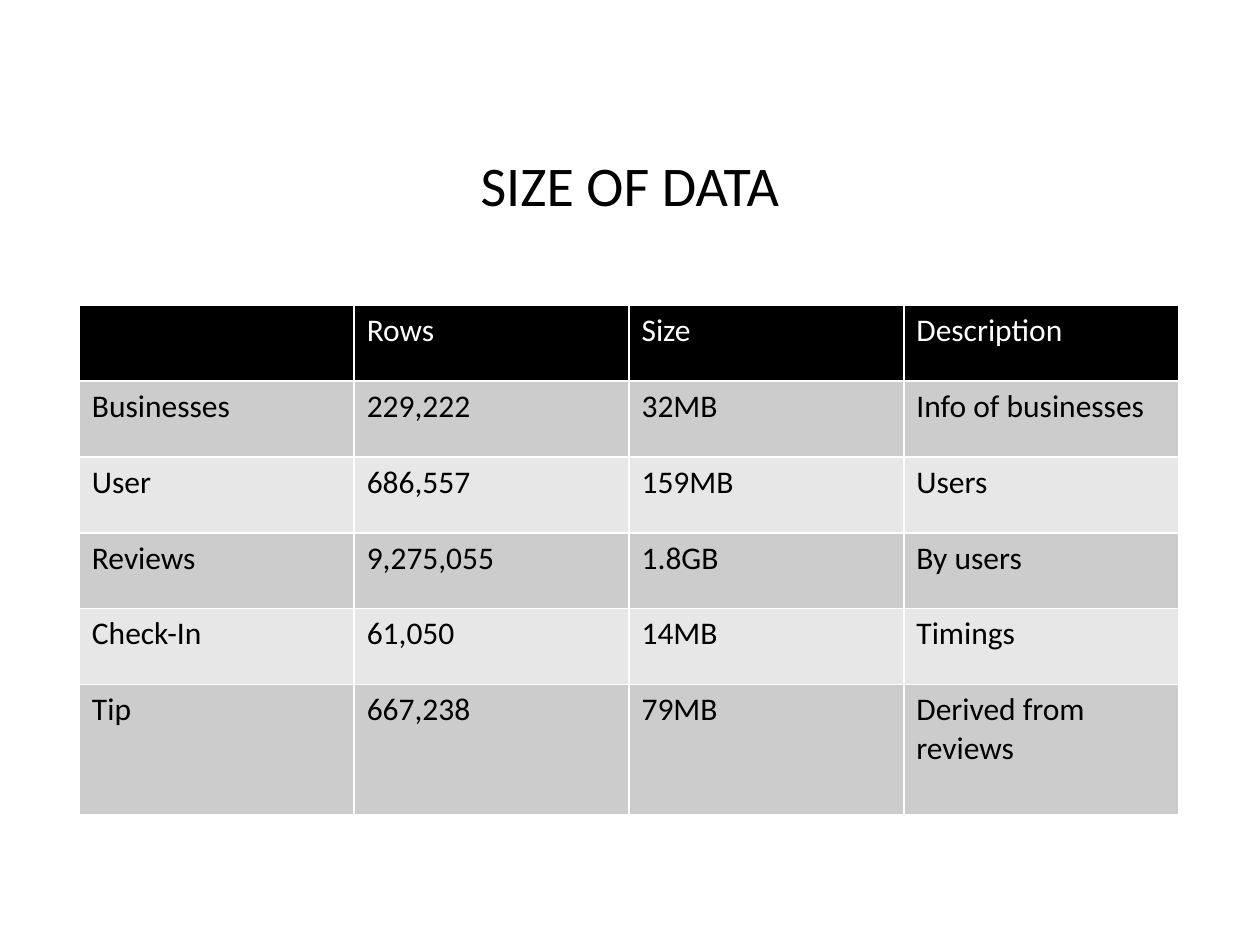
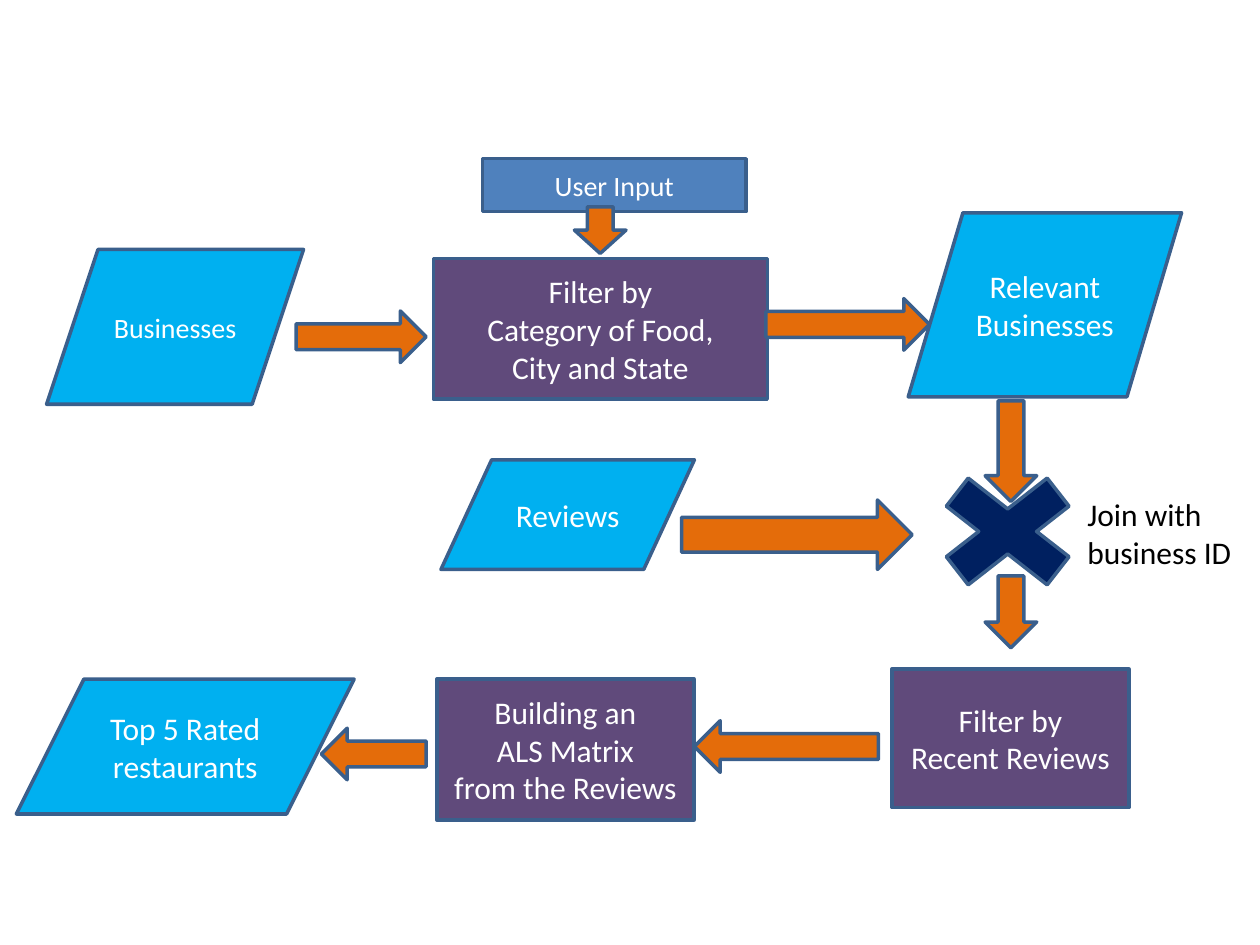
from pptx import Presentation
from pptx import util as u
from pptx.dml.color import RGBColor
from pptx.enum import shapes, text

FONT = "Calibri"
BLACK, WHITE, OUTLINE = "000000", "FFFFFF", "3A5F8C"
DATA, STEP, INPUT, JOIN, FLOW = "00B0F0", "604A7B", "4F81BD", "002060", "E46C0A"
BANDS = ("CCCCCC", "E7E7E7")
KIND = shapes.MSO_SHAPE

# Slide 1: lengths in cm
TITLE = "SIZE OF DATA"
TITLE_BOX = (0, 2.16, 25.4, 3.1)
SIZES = [
    ("", "Rows", "Size", "Description"),
    ("Businesses", "229,222", "32MB", "Info of businesses"),
    ("User", "686,557", "159MB", "Users"),
    ("Reviews", "9,275,055", "1.8GB", "By users"),
    ("Check-In", "61,050", "14MB", "Timings"),
    ("Tip", "667,238", "79MB", "Derived from reviews"),
]
TABLE_LEFT, TABLE_TOP, COLUMN = 1.6, 6.15, 5.54
ROW, LAST_ROW = 1.53, 2.63

# Slide 2: kind, fill, (left, top, width, height), lines, text size
STAGES = [
    (KIND.FLOWCHART_DATA, DATA, (0.94, 5.03, 5.18, 3.12), ["Businesses"], 16),
    (KIND.RECTANGLE, STEP, (8.74, 5.21, 6.73, 2.84),
     ["Filter by", "Category of Food,", "City and State"], 18),
    (KIND.RECTANGLE, INPUT, (9.73, 3.2, 5.31, 1.07), ["User Input"], 16),
    (KIND.FLOWCHART_DATA, DATA, (18.31, 4.29, 5.51, 3.71), ["Relevant", "Businesses"], 18),
    (KIND.FLOWCHART_DATA, DATA, (8.89, 9.27, 5.11, 2.21), ["Reviews"], 18),
    (KIND.FLOWCHART_PROCESS, STEP, (17.98, 13.49, 4.78, 2.79),
     ["Filter by", "Recent Reviews"], 18),
    (KIND.FLOWCHART_PROCESS, STEP, (8.81, 13.69, 5.18, 2.84),
     ["Building an", "ALS Matrix", "from the Reviews"], 18),
    (KIND.FLOWCHART_DATA, DATA, (0.33, 13.69, 6.81, 2.72), ["Top 5 Rated restaurants"], 18),
]
# Arrows: kind, left, top, length, thickness
THIN, THICK = 1.04, 1.4
ARROWS = [
    (KIND.RIGHT_ARROW, 5.97, 6.27, 2.62, THIN),
    (KIND.DOWN_ARROW, 11.58, 4.17, 0.94, THIN),
    (KIND.RIGHT_ARROW, 15.44, 6.02, 3.3, THIN),
    (KIND.DOWN_ARROW, 19.86, 8.08, 2.03, THIN),
    (KIND.DOWN_ARROW, 19.86, 11.61, 1.45, THIN),
    (KIND.RIGHT_ARROW, 13.74, 10.08, 4.65, THICK),
    (KIND.LEFT_ARROW, 14, 14.53, 3.71, THIN),
    (KIND.LEFT_ARROW, 6.48, 14.68, 2.11, THIN),
]
JOIN_BOX = (18.36, 9.19, 3.91, 3.05)
JOIN_LABEL, JOIN_LABEL_BOX = "Join with business ID", (21.67, 9.86, 4.42, 1.8)


def rgb(value):
    return RGBColor.from_string(value)


def cm(box):
    return [u.Cm(length) for length in box]


def write(frame, lines, size, color, align=text.PP_ALIGN.LEFT):
    frame.word_wrap = True
    for index, line in enumerate(lines):
        paragraph = frame.add_paragraph() if index else frame.paragraphs[0]
        paragraph.text = line
        paragraph.alignment = align
        font = paragraph.font
        font.name, font.size, font.bold = FONT, u.Pt(size), False
        font.color.rgb = rgb(color)


def add_block(slide, kind, fill, box, lines=(), size=18):
    block = slide.shapes.add_shape(kind, *cm(box))
    block.shadow.inherit = False
    block.fill.solid()
    block.fill.fore_color.rgb = rgb(fill)
    block.line.color.rgb = rgb(OUTLINE)
    block.line.width = u.Pt(2)
    frame = block.text_frame
    frame.vertical_anchor = text.MSO_ANCHOR.MIDDLE
    frame.margin_left = frame.margin_right = u.Cm(0.15)
    write(frame, lines, size, WHITE, text.PP_ALIGN.CENTER)


def add_label(slide, box, label, size, **style):
    frame = slide.shapes.add_textbox(*cm(box)).text_frame
    write(frame, [label], size, BLACK, **style)
    return frame


def build_sizes(slide):
    title = add_label(slide, TITLE_BOX, TITLE, 32, align=text.PP_ALIGN.CENTER)
    title.vertical_anchor = text.MSO_ANCHOR.MIDDLE

    # Table: black header, then alternating grey bands
    heights = [ROW] * (len(SIZES) - 1) + [LAST_ROW]
    columns = len(SIZES[0])
    box = (TABLE_LEFT, TABLE_TOP, COLUMN * columns, sum(heights))
    table = slide.shapes.add_table(len(SIZES), columns, *cm(box)).table
    for r, (values, height) in enumerate(zip(SIZES, heights)):
        table.rows[r].height = u.Cm(height)
        fill, color = (BANDS[(r - 1) % 2], BLACK) if r else (BLACK, WHITE)
        for c, value in enumerate(values):
            cell = table.cell(r, c)
            cell.fill.solid()
            cell.fill.fore_color.rgb = rgb(fill)
            write(cell.text_frame, [value], 18, color)


def build_flow(slide):
    for stage in STAGES:
        add_block(slide, *stage)
    for kind, left, top, length, thickness in ARROWS:
        down = kind == KIND.DOWN_ARROW
        extent = (thickness, length) if down else (length, thickness)
        add_block(slide, kind, FLOW, (left, top, *extent))

    # Join of reviews with the relevant businesses
    add_block(slide, KIND.MATH_MULTIPLY, JOIN, JOIN_BOX)
    add_label(slide, JOIN_LABEL_BOX, JOIN_LABEL, 18)


def main():
    deck = Presentation()
    deck.slide_width, deck.slide_height = cm((25.4, 19.05))
    for build in (build_sizes, build_flow):
        build(deck.slides.add_slide(deck.slide_layouts[6]))
    deck.save("out.pptx")


if __name__ == "__main__":
    main()
